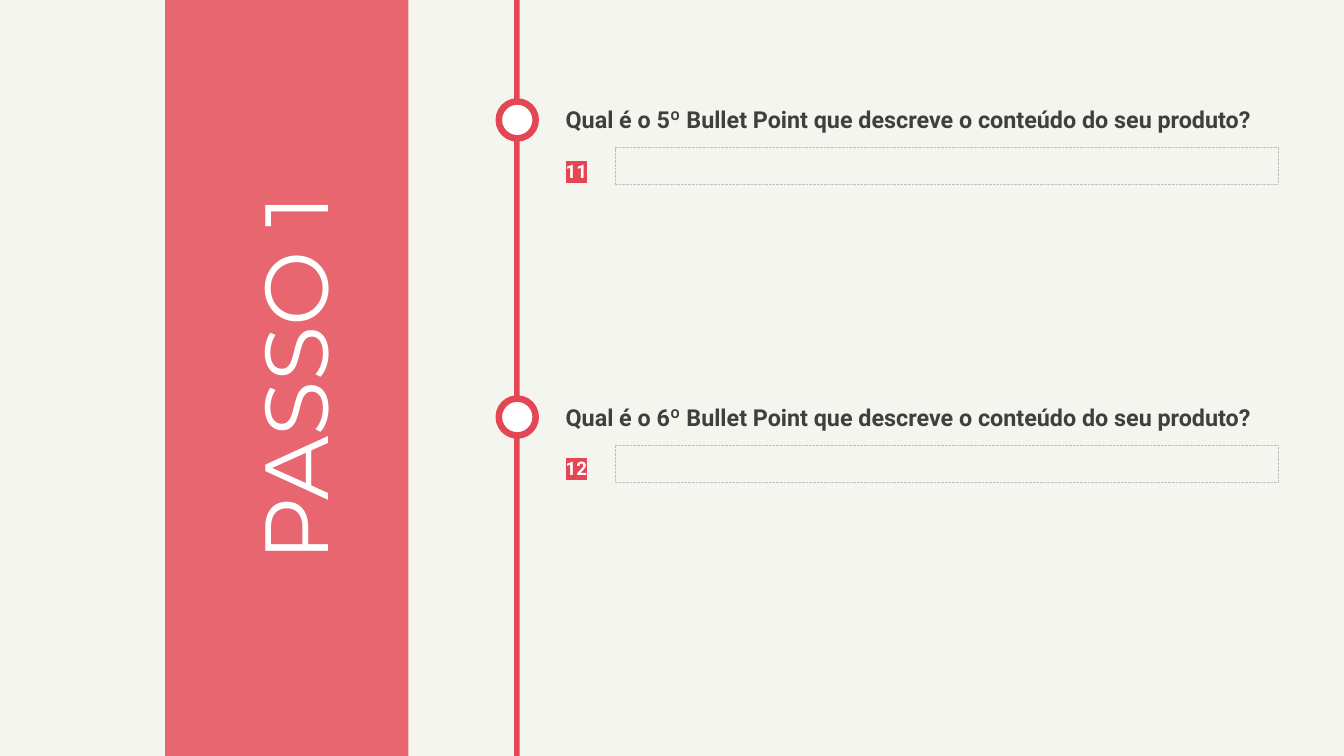
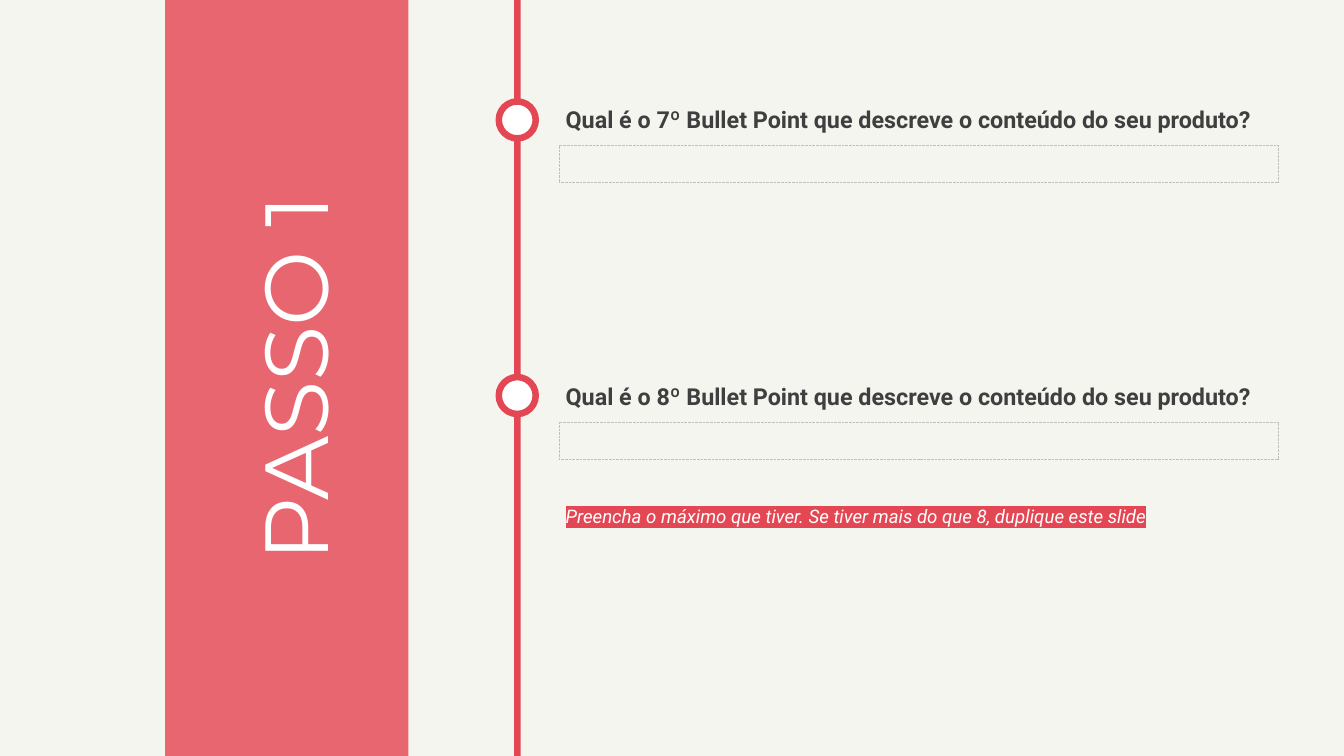
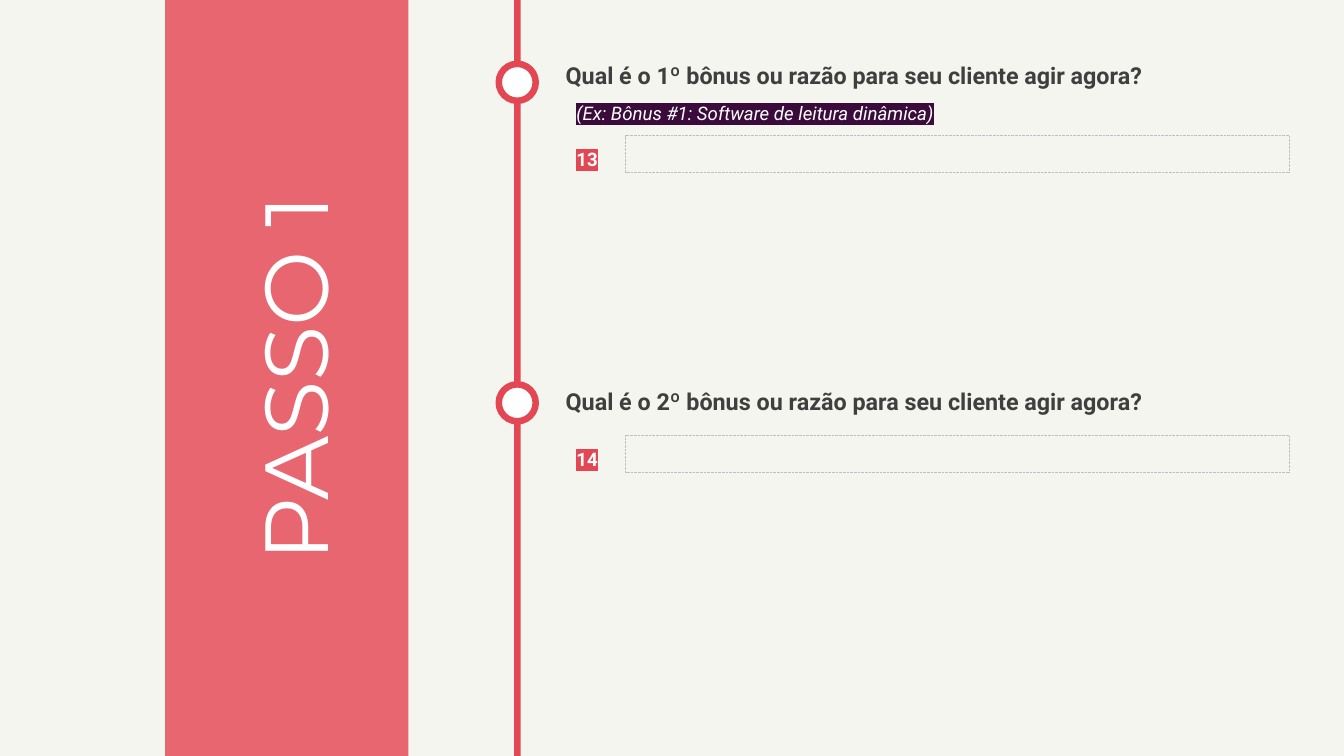
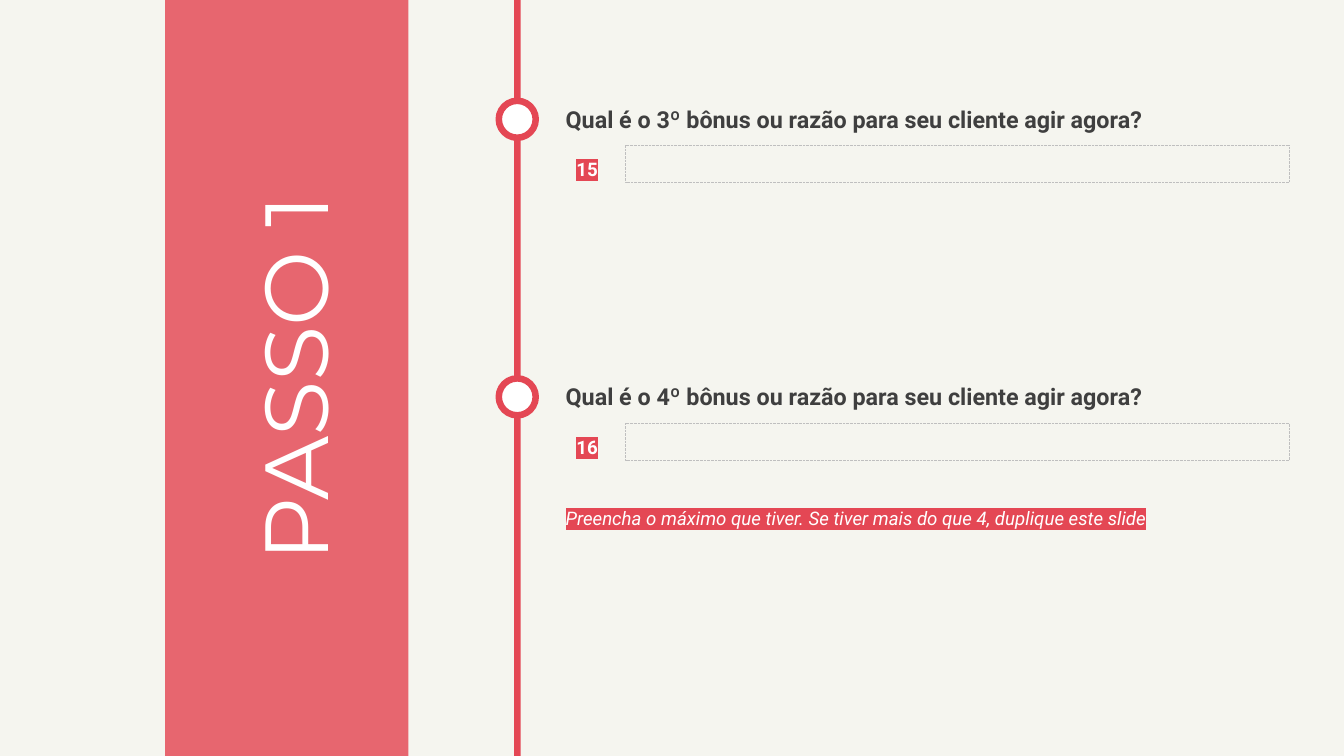
"""Build the four "Passo 1" worksheet pages."""
from collections import namedtuple

from pptx import Presentation
from pptx import util as u
from pptx.dml import color
from pptx.enum import dml, shapes, text
from pptx.oxml import ns, xmlchemy

PAPER = color.RGBColor(0xF5, 0xF5, 0xEF)
RED = color.RGBColor(0xE4, 0x47, 0x54)
PLUM = color.RGBColor(0x3B, 0x0C, 0x3B)
INK = color.RGBColor(0x3F, 0x3F, 0x3F)
GREY = color.RGBColor(0xBF, 0xBF, 0xBF)
WHITE = color.RGBColor(0xFF, 0xFF, 0xFF)

PAGE_W, PAGE_H = 1440, 810
LINE_CENTRE = 554.2
DOT = 39.6
CONTENT_LEFT, CONTENT_W = 599, 777.6
FIELD_W, FIELD_H = 771.2, 39.6
NUMBER_W = 59.8

BULLET = "Qual é o {}º Bullet Point que descreve o conteúdo do seu produto?"
BONUS = "Qual é o {}º bônus ou razão para seu cliente agir agora?"
MORE = "Preencha o máximo que tiver. Se tiver mais do que {}, duplique este slide"
EXAMPLE = "(Ex: Bônus #1: Software de leitura dinâmica)"

Step = namedtuple("Step", "top order dot field number")
Note = namedtuple("Note", "left top words colour")
Sheet = namedtuple("Sheet", "question indent line_w steps note")

SHEETS = [
    Sheet(BULLET, 0, 6, [Step(108.7, 5, 0, 49.5, "11"),
                         Step(428.4, 6, -1.4, 48.3, "12")], None),
    Sheet(BULLET, 0, 7, [Step(108.7, 7, 0, 47.5, None),
                         Step(405.4, 8, -1.4, 46.8, None)],
          Note(CONTENT_LEFT, 525.6, MORE.format(8), RED)),
    Sheet(BONUS, 11.5, 7, [Step(61.9, 1, 6.5, 83.5, "13"),
                           Step(411.8, 2, 0, 54.8, "14")],
          Note(CONTENT_LEFT + 11.5, 93.6, EXAMPLE, PLUM)),
    Sheet(BONUS, 11.5, 7, [Step(108.7, 3, -0.7, 46.8, "15"),
                           Step(405.4, 4, 0, 48.2, "16")],
          Note(CONTENT_LEFT, 527.8, MORE.format(4), RED)),
]


def add_figure(page, kind, left, top, width, height, fill=None):
    """Add a preset shape without shadow or outline."""
    figure = page.shapes.add_shape(
        kind, u.Pt(left), u.Pt(top), u.Pt(width), u.Pt(height))
    figure.shadow.inherit = False
    figure.line.fill.background()
    if fill is None:
        figure.fill.background()
    else:
        figure.fill.solid()
        figure.fill.fore_color.rgb = fill
    return figure


def add_text(page, left, top, width, height, words, size, ink=WHITE,
             font="Roboto", bold=False, italic=False, highlight=None):
    """Add a one-line text box, with an optional highlight behind its words."""
    box = page.shapes.add_textbox(
        u.Pt(left), u.Pt(top), u.Pt(width), u.Pt(height))
    box.text_frame.word_wrap = True
    box.text_frame.auto_size = text.MSO_AUTO_SIZE.SHAPE_TO_FIT_TEXT
    para = box.text_frame.paragraphs[0]
    span = para.add_run()
    span.text = words
    span.font.size = u.Pt(size)
    span.font.bold = bold
    span.font.italic = italic
    span.font.color.rgb = ink
    span.font.name = font
    if highlight is not None:
        para.line_spacing = 1.5
        mark = xmlchemy.OxmlElement("a:highlight")
        tint = xmlchemy.OxmlElement("a:srgbClr")
        tint.set("val", str(highlight))
        mark.append(tint)
        fill = next(box.element.iter(ns.qn("a:rPr"))).find(ns.qn("a:solidFill"))
        fill.addnext(mark)
    return box


def add_band(page, left, width):
    """Draw the translucent side band with its upright title."""
    band = add_figure(page, shapes.MSO_SHAPE.RECTANGLE,
                      left, 0, width, PAGE_H, RED)
    alpha = xmlchemy.OxmlElement("a:alpha")
    alpha.set("val", "82000")
    next(band.element.spPr.iter(ns.qn("a:srgbClr"))).append(alpha)
    title = add_text(page, left - 121, 343.5, 517, 123.8, "PASSO 1", 96,
                     font="Montserrat")
    title.rotation = 270
    title.text_frame.paragraphs[0].alignment = text.PP_ALIGN.CENTER


def add_step(page, left, question, indent, step):
    """Place a question with its timeline dot, number and answer field."""
    add_text(page, left, step.top, CONTENT_W, 37.4,
             question.format(step.order), 25, INK, bold=True)
    dot = add_figure(page, shapes.MSO_SHAPE.OVAL, LINE_CENTRE - DOT / 2,
                     step.top + step.dot, DOT, DOT, WHITE)
    dot.line.color.rgb = RED
    dot.line.width = u.Pt(7)
    field_top = step.top + step.field
    field_left = left + indent
    shift = 0
    if step.number:
        shift = NUMBER_W
        add_text(page, field_left, field_top - 2.4, NUMBER_W, FIELD_H,
                 step.number, 20, bold=True, highlight=RED)
    field = add_figure(page, shapes.MSO_SHAPE.RECTANGLE, field_left + shift,
                       field_top, FIELD_W - shift, FIELD_H)
    field.line.color.rgb = GREY
    field.line.width = u.Pt(0.75)
    field.line.dash_style = dml.MSO_LINE.ROUND_DOT


def add_sheet(deck, sheet):
    """Add one worksheet page."""
    page = deck.slides.add_slide(deck.slide_layouts[6])
    page.background.fill.solid()
    page.background.fill.fore_color.rgb = PAPER
    add_band(page, 177, 260.6)
    add_figure(page, shapes.MSO_SHAPE.RECTANGLE, LINE_CENTRE - 3.4, 0,
               sheet.line_w, PAGE_H, RED)
    for step in sheet.steps:
        add_step(page, CONTENT_LEFT, sheet.question, sheet.indent, step)
    if sheet.note:
        note = sheet.note
        add_text(page, note.left, note.top, CONTENT_W, FIELD_H, note.words, 20,
                 italic=True, highlight=note.colour)


def main():
    """Build and save the deck."""
    deck = Presentation()
    deck.slide_width, deck.slide_height = u.Pt(PAGE_W), u.Pt(PAGE_H)
    for sheet in SHEETS:
        add_sheet(deck, sheet)
    deck.save("out.pptx")


if __name__ == "__main__":
    main()
